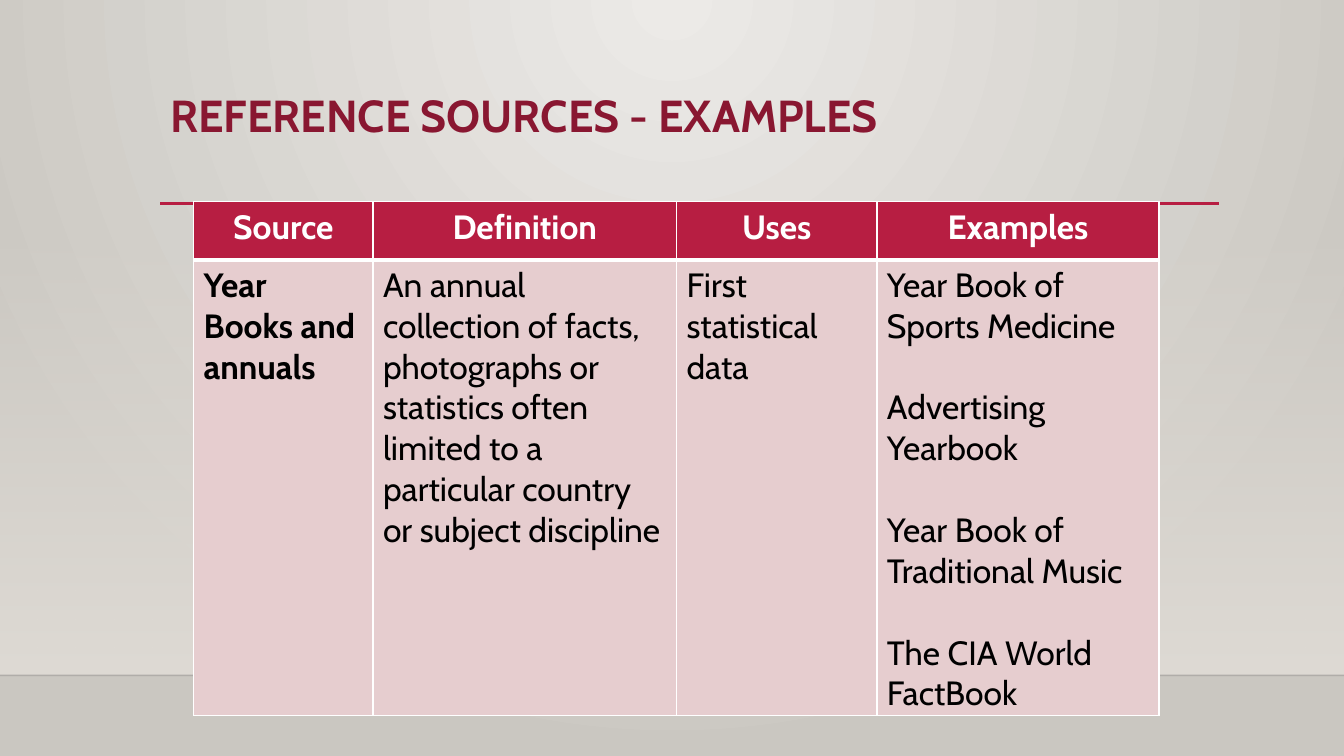
from lxml import etree
from pptx import Presentation
from pptx import util as u
from pptx.dml.color import RGBColor
from pptx.enum import shapes, text
from pptx.oxml import parse_xml
from pptx.oxml.ns import nsdecls, qn

RED = RGBColor(0xB7, 0x1E, 0x42)
WINE = RGBColor(0x89, 0x17, 0x31)
PINK = RGBColor(0xE6, 0xCD, 0xCF)
PALE = RGBColor(0xEC, 0xEA, 0xE7)
GREY = RGBColor(0xCA, 0xC7, 0xC1)
SAND = RGBColor(0xDF, 0xDB, 0xD5)
INK = RGBColor(0, 0, 1)
BLACK = RGBColor(0, 0, 0)
WHITE = RGBColor(255, 255, 255)


def style(font, **look):
    for key, val in look.items():
        if key == "color":
            font.color.rgb = val
        else:
            setattr(font, key, val)


def fade(color, part):
    etree.SubElement(color, qn("a:alpha"), val=str(part * 1000))


deck = Presentation()
deck.slide_width, deck.slide_height = u.Cm(33.87), u.Cm(19.05)
slide = deck.slides.add_slide(deck.slide_layouts[6])

back = slide.background.fill
back.gradient()
for stop, tone in zip(back.gradient_stops, (PALE, GREY)):
    stop.color.rgb = tone
grad = next(slide.element.iter(qn("a:gradFill")))
grad.replace(grad.find(qn("a:lin")), parse_xml(
    f'<a:path {nsdecls("a")} path="circle">'
    '<a:fillToRect l="43000" t="0" r="43000" b="100000"/></a:path>'))

wall = slide.shapes.add_shape(
    shapes.MSO_SHAPE.RECTANGLE, 0, u.Cm(5.61), u.Cm(33.87), u.Cm(11.41))
wall.shadow.inherit = False
wall.line.fill.background()
wall.fill.gradient()
wall.fill.gradient_angle = 270
for stop in wall.fill.gradient_stops:
    stop.color.rgb = SAND
fade(next(wall.element.iter(qn("a:srgbClr"))), 0)

for left, right, top, tone, width, part in (
        (0, 33.87, 17.02, INK, 1, 20), (4.04, 30.73, 5.13, RED, 2.5, 100)):
    rule = slide.shapes.add_connector(
        shapes.MSO_CONNECTOR.STRAIGHT, u.Cm(left), u.Cm(top), u.Cm(right), u.Cm(top))
    rule.line.color.rgb = tone
    rule.line.width = u.Pt(width)
    fade(next(rule.element.iter(qn("a:srgbClr"))), part)
    etree.SubElement(rule.element.spPr, qn("a:effectLst"))

title = slide.shapes.add_textbox(u.Cm(4.04), u.Cm(2.24), u.Cm(26.67), u.Cm(2.92))
title.text_frame.word_wrap = True
head = title.text_frame.paragraphs[0]
head.text = "REFERENCE SOURCES - EXAMPLES"
head.line_spacing = 0.9
style(head.font, name="Cabin", size=u.Pt(32), bold=True, color=WINE)

rows = (
    ("Source", "Definition", "Uses", "Examples"),
    ("Year Books and annuals",
     "An annual collection of facts, photographs or statistics often "
     "limited to a particular country or subject discipline",
     "First statistical data",
     "Year Book of Sports Medicine\nAdvertising Yearbook\n"
     "Year Book of Traditional Music\nThe CIA World FactBook"),
)
wides = (4.52, 7.65, 5.05, 7.11)
highs = (1.47, 11.43)
table = slide.shapes.add_table(
    2, 4, u.Cm(4.88), u.Cm(5.08), u.Cm(sum(wides)), u.Cm(sum(highs))).table
for col, wide in zip(table.columns, wides):
    col.width = u.Cm(wide)
for row, high in zip(table.rows, highs):
    row.height = u.Cm(high)

for r, words in enumerate(rows):
    top = r == 0
    for c, word in enumerate(words):
        cell = table.cell(r, c)
        cell.text = word
        cell.fill.solid()
        cell.fill.fore_color.rgb = RED if top else PINK
        for i, para in enumerate(cell.text_frame.paragraphs):
            para.alignment = text.PP_ALIGN.CENTER if top else text.PP_ALIGN.LEFT
            if i:
                para.space_before = u.Pt(29.2)
            style(para.font, name="Cabin", size=u.Pt(24), bold=top or c == 0,
                  color=WHITE if top else BLACK)
        edges = {"L": 1, "R": 1, "T": 1 if top else 3, "B": 3 if top else 1}
        for i, (side, width) in enumerate(edges.items()):
            cell._tc.tcPr.insert(i, parse_xml(
                f'<a:ln{side} {nsdecls("a")} w="{u.Pt(width)}"><a:solidFill>'
                f'<a:srgbClr val="{WHITE}"/></a:solidFill></a:ln{side}>'))

deck.save("out.pptx")
